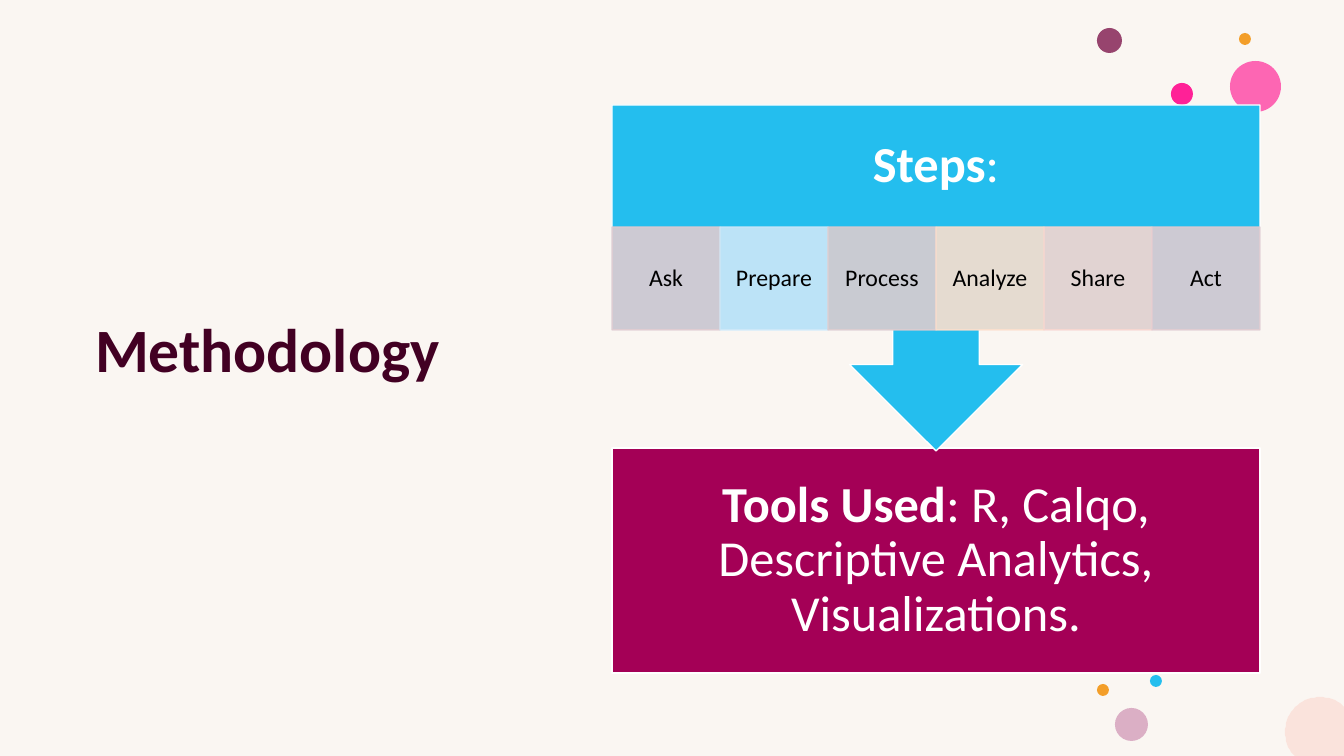
"""Build the Methodology slide: project steps leading to the tools used."""
from math import cos, radians, sin

from lxml.etree import SubElement
from pptx import Presentation
from pptx.dml.color import RGBColor
from pptx.enum.shapes import MSO_SHAPE as Preset
from pptx.enum.text import MSO_ANCHOR as Anchor, PP_ALIGN as Align
from pptx.oxml.ns import qn
from pptx.util import Pt

PX = 12192000 / 1344
WIDTH, HEIGHT = 1344, 756


def paint(fill, color, alpha=100):
    fill.solid()
    fill.fore_color.rgb = RGBColor.from_string(color)
    if alpha < 100:
        tint = fill._xPr.find(".//" + qn("a:srgbClr"))
        SubElement(tint, qn("a:alpha")).set("val", str(alpha * 1000))


def write(shape, runs, size, color, inset=(10, 5), align=Align.CENTER):
    frame = shape.text_frame
    across, down = (round(gap * PX) for gap in inset)
    layout = {"word_wrap": True, "vertical_anchor": Anchor.MIDDLE,
              "margin_left": across, "margin_right": across,
              "margin_top": down, "margin_bottom": down}
    for name, value in layout.items():
        setattr(frame, name, value)
    para = frame.paragraphs[0]
    para.alignment = align
    para.line_spacing = 0.9
    for text, bold in runs:
        span = para.add_run()
        span.text = text
        for name, value in {"name": "Calibri", "size": Pt(size), "bold": bold}.items():
            setattr(span.font, name, value)
        paint(span.font.fill, color)


deck = Presentation()
deck.slide_width, deck.slide_height = (round(side * PX) for side in (WIDTH, HEIGHT))
page = deck.slides.add_slide(deck.slide_layouts[6])
shapes = page.shapes
paint(page.background.fill, "FAF6F2")

title = shapes.add_textbox(*(round(v * PX) for v in (85, 99, 508, 508)))
write(title, [("Methodology", True)], 44, "420023", align=Align.LEFT)

dots = [
    (1097, 28, 25, "97446E", 100),
    (1230, 61, 51, "FF2F9C", 72),
    (1239, 33, 12, "F39E29", 100),
    (1171, 83, 22, "FF2197", 100),
    (1150, 675, 12, "24BEEE", 100),
    (1115, 708, 33, "DBAFC5", 100),
    (1097, 684, 12, "F39E29", 100),
]
for left, top, size, color, alpha in dots:
    dot = shapes.add_shape(Preset.OVAL, *(round(v * PX) for v in (left, top, size, size)))
    dot.shadow.inherit = False
    paint(dot.fill, color, alpha)
    dot.line.fill.background()

rim = [(min(WIDTH, 1320 + 35 * cos(radians(angle))),
        min(HEIGHT, 732 + 35 * sin(radians(angle)))) for angle in range(0, 360, 5)]
builder = shapes.build_freeform(*rim[0], scale=PX)
builder.add_line_segments(rim[1:], close=True)
corner = builder.convert_to_shape()
corner.shadow.inherit = False
paint(corner.fill, "FAE3DC")
corner.line.fill.background()

LEFT, SPAN = 612, 648
STEP = SPAN / 6
panels = [
    (Preset.RECTANGLE, LEFT, 448, SPAN, 225, "A40056", "FFFFFF", 100),
    (Preset.UP_ARROW_CALLOUT, LEFT, 105, SPAN, 346, "24BEEE", "FFFFFF", 100),
]
steps = {"Ask": "E0CCD1", "Prepare": "CDE8F8", "Process": "DCCDD0",
         "Analyze": "FADFCD", "Share": "F6D6D0", "Act": "E0CCD1"}
for index, color in enumerate(steps.values()):
    panels.append((Preset.RECTANGLE, LEFT + index * STEP, 227, STEP, 103, color, color, 90))

blocks = []
for preset, left, top, width, height, color, edge, alpha in panels:
    block = shapes.add_shape(preset, *(round(v * PX) for v in (left, top, width, height)))
    block.shadow.inherit = False
    paint(block.fill, color, alpha)
    paint(block.line.fill, edge, alpha)
    block.line.width = Pt(1)
    blocks.append(block)

tools, callout, *cells = blocks
callout.rotation = 180
write(tools, [("Tools Used", True),
              (": R, Calqo, Descriptive Analytics, Visualizations.", False)],
      36, "FFFFFF", (28, 28))
heading = shapes.add_textbox(*(round(v * PX) for v in (LEFT, 105, SPAN, 122)))
write(heading, [("Steps", True), (":", False)], 36, "FFFFFF", (28, 28))
for cell, step in zip(cells, steps):
    write(cell, [(step, False)], 17, "000000", (13, 2))

deck.save("out.pptx")
